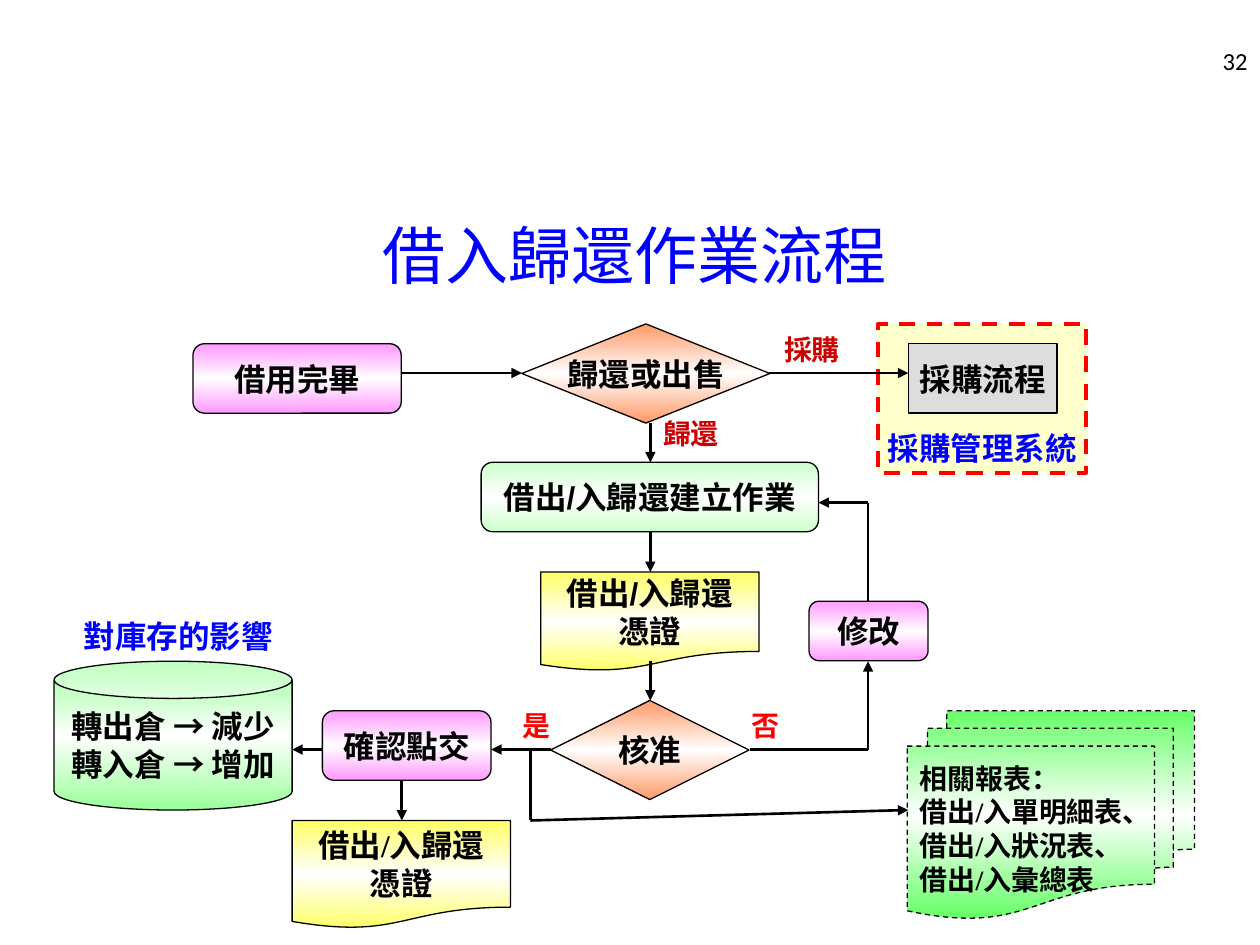
"""Build the flowchart slide for returning borrowed goods."""
from copy import deepcopy

from lxml import etree
from pptx import Presentation
from pptx.dml.color import RGBColor
from pptx.enum.dml import MSO_LINE
from pptx.enum.shapes import MSO_CONNECTOR, MSO_SHAPE
from pptx.enum.text import MSO_ANCHOR, PP_ALIGN
from pptx.oxml.ns import qn
from pptx.util import Cm, Pt

STRAIGHT = MSO_CONNECTOR.STRAIGHT
DASH = MSO_LINE.DASH
STEP, DECISION = MSO_SHAPE.ROUNDED_RECTANGLE, MSO_SHAPE.FLOWCHART_DECISION
DOCUMENT, REPORTS = MSO_SHAPE.FLOWCHART_DOCUMENT, MSO_SHAPE.FLOWCHART_MULTIDOCUMENT
STOCK, SYSTEM = MSO_SHAPE.CAN, MSO_SHAPE.RECTANGLE
LEFT, CENTER, RIGHT = PP_ALIGN.LEFT, PP_ALIGN.CENTER, PP_ALIGN.RIGHT
MIDDLE, BOTTOM = MSO_ANCHOR.MIDDLE, MSO_ANCHOR.BOTTOM
ARIAL, TIMES, CALIBRI, NOTO = "Arial", "Times New Roman", "Calibri", "Noto Sans CJK SC"

COLORS = {
    "black": "000000", "white": "FFFFFF", "blue": "0000FF", "red": "FF0000",
    "dark red": "CC0000", "orange": "FF9966", "pink": "FF99FF", "mint": "CCFFCC",
    "green": "99FF99", "bright green": "66FF66", "yellow": "FFFF66",
    "cream": "FFFFCC", "gray": "DDDDDD",
}

SPINE, REWORK, BRANCH, CONFIRM = 13.11, 17.5, 10.69, 8.1
TOP_ROW, APPROVAL_ROW = 7.52, 15.11

STEPS = [
    (DECISION, (11.1, 14.12, 4, 2), "orange", ["核准"], ARIAL),
    (DECISION, (10.52, 6.53, 5, 2), "orange", ["歸還或出售"], ARIAL),
    (STEP, (3.89, 6.93, 4.2, 1.4), "pink", ["借用完畢"], ARIAL),
    (STEP, (16.31, 12.12, 2.4, 1.2), "pink", ["修改"], ARIAL),
    (STEP, (6.5, 14.33, 3.4, 1.4), "pink", ["確認點交"], ARIAL),
    (STEP, (9.7, 9.32, 6.8, 1.4), "mint", ["借出/入歸還建立作業"], ARIAL),
    (DOCUMENT, (10.9, 11.53, 4.4, 2), "yellow", ["借出/入歸還", "憑證"], ARIAL),
    (DOCUMENT, (5.89, 16.54, 4.4, 2.18), "yellow", ["借出/入歸還", "憑證"], TIMES),
    (STOCK, (1.09, 13.33, 4.8, 3), "green", ["轉出倉 → 減少", "轉入倉 → 增加"], NOTO),
]

LABELS = [
    ((14.91, 14.12, 1, 1), "否", 16, "red"),
    ((10.11, 14.12, 1.4, 1), "是", 16, "red"),
    ((12.93, 8.23, 2, 1), "歸還", 16, "dark red"),
    ((15.37, 6.55, 2, 1), "採購", 16, "dark red"),
    ((1.09, 12.32, 5, 1), "對庫存的影響", 18, "blue"),
]

ROUTES = [
    [(8.1, TOP_ROW), (10.52, TOP_ROW)],
    [(15.5, TOP_ROW), (18.31, TOP_ROW)],
    [(SPINE, 8.53), (SPINE, 9.32)],
    [(SPINE, 10.72), (SPINE, 11.53)],
    [(SPINE, 13.33), (SPINE, 14.12)],
    [(15.11, APPROVAL_ROW), (REWORK, APPROVAL_ROW), (REWORK, 13.33)],
    [(REWORK, 12.12), (REWORK, 10.13), (16.5, 10.13)],
    [(11.1, APPROVAL_ROW), (9.9, APPROVAL_ROW)],
    [(6.5, APPROVAL_ROW), (5.89, APPROVAL_ROW)],
    [(CONFIRM, 15.72), (CONFIRM, 16.54)],
    [(BRANCH, APPROVAL_ROW), (BRANCH, 16.54), (18.31, 16.33)],
]


def rgb(name):
    """Return the named colour."""
    return RGBColor.from_string(COLORS[name])


def write(frame, lines, font, size=18, color="black", bold=True, align=CENTER, anchor=MIDDLE):
    """Fill a text frame with one paragraph per line."""
    frame.word_wrap = False
    frame.vertical_anchor = anchor
    for index, line in enumerate(lines):
        paragraph = frame.add_paragraph() if index else frame.paragraphs[0]
        paragraph.text = line
        paragraph.alignment = align
        paragraph.font.name = font
        paragraph.font.size = Pt(size)
        paragraph.font.bold = bold
        paragraph.font.color.rgb = rgb(color)


def add_label(slide, box, text, size, color, font=TIMES, **style):
    """Add free-standing text."""
    label = slide.shapes.add_textbox(*map(Cm, box))
    write(label.text_frame, [text], font, size, color, **style)


def add_block(slide, kind, box, fill, lines, font, outline="black", width=0.75, dash=None, **style):
    """Add an outlined solid shape with text."""
    block = slide.shapes.add_shape(kind, *map(Cm, box))
    block.shadow.inherit = False
    block.fill.solid()
    block.fill.fore_color.rgb = rgb(fill)
    block.line.color.rgb = rgb(outline)
    block.line.width = Pt(width)
    if dash:
        block.line.dash_style = dash
    write(block.text_frame, lines, font, **style)
    return block


def add_glossy_block(slide, kind, box, fill, lines, font, **style):
    """Add a block that fades to white across its middle."""
    block = add_block(slide, kind, box, fill, lines, font, **style)
    block.fill.gradient()
    block.fill.gradient_angle = 90
    stops = block.element.spPr.find(".//" + qn("a:gsLst"))
    stops.append(deepcopy(stops[0]))
    shades = zip(block.fill.gradient_stops, (0, 0.5, 1), (fill, "white", fill))
    for stop, position, shade in shades:
        stop.position = position
        stop.color.rgb = rgb(shade)


def add_route(slide, points):
    """Join the points with lines and end with an arrowhead."""
    for start, end in zip(points, points[1:]):
        segment = slide.shapes.add_connector(STRAIGHT, *map(Cm, start + end))
        segment.line.color.rgb = rgb("black")
        segment.line.width = Pt(1.5)
        etree.SubElement(segment.element.spPr, qn("a:effectLst"))
    outline = segment.element.spPr.find(qn("a:ln"))
    etree.SubElement(outline, qn("a:tailEnd"), type="triangle")


def add_title(slide, text):
    """Place and format the slide title."""
    title = slide.shapes.title
    title.left, title.top, title.width, title.height = map(Cm, (0.89, 3.73, 23.8, 2.79))
    write(title.text_frame, [text], TIMES, 36, "blue", bold=False)
    title.text_frame.word_wrap = True


def main():
    """Build and save the slide."""
    deck = Presentation()
    deck.slide_width, deck.slide_height = Cm(25.4), Cm(19.05)
    slide = deck.slides.add_slide(deck.slide_layouts[5])
    add_title(slide, "借入歸還作業流程")
    add_label(slide, (19.48, 0.71, 5.92, 1.02), "32", 14, "black", CALIBRI, bold=False, align=RIGHT)
    slide.shapes[-1].text_frame.word_wrap = True
    add_block(slide, SYSTEM, (17.7, 6.53, 4.2, 3), "cream", ["採購管理系統"], TIMES,
              outline="red", width=2.25, dash=DASH, color="blue", anchor=BOTTOM)
    add_block(slide, SYSTEM, (18.31, 6.93, 3, 1.4), "gray", ["採購流程"], TIMES)
    for step in STEPS:
        add_glossy_block(slide, *step)
    reports = ["相關報表：", "借出/入單明細表、\v借出/入狀況表、\v借出/入彙總表"]
    add_glossy_block(slide, REPORTS, (18.29, 14.33, 5.79, 4.19), "bright green", reports, TIMES,
                     dash=DASH, size=16, align=LEFT)
    for route in ROUTES:
        add_route(slide, route)
    for label in LABELS:
        add_label(slide, *label)
    deck.save("out.pptx")


if __name__ == "__main__":
    main()
